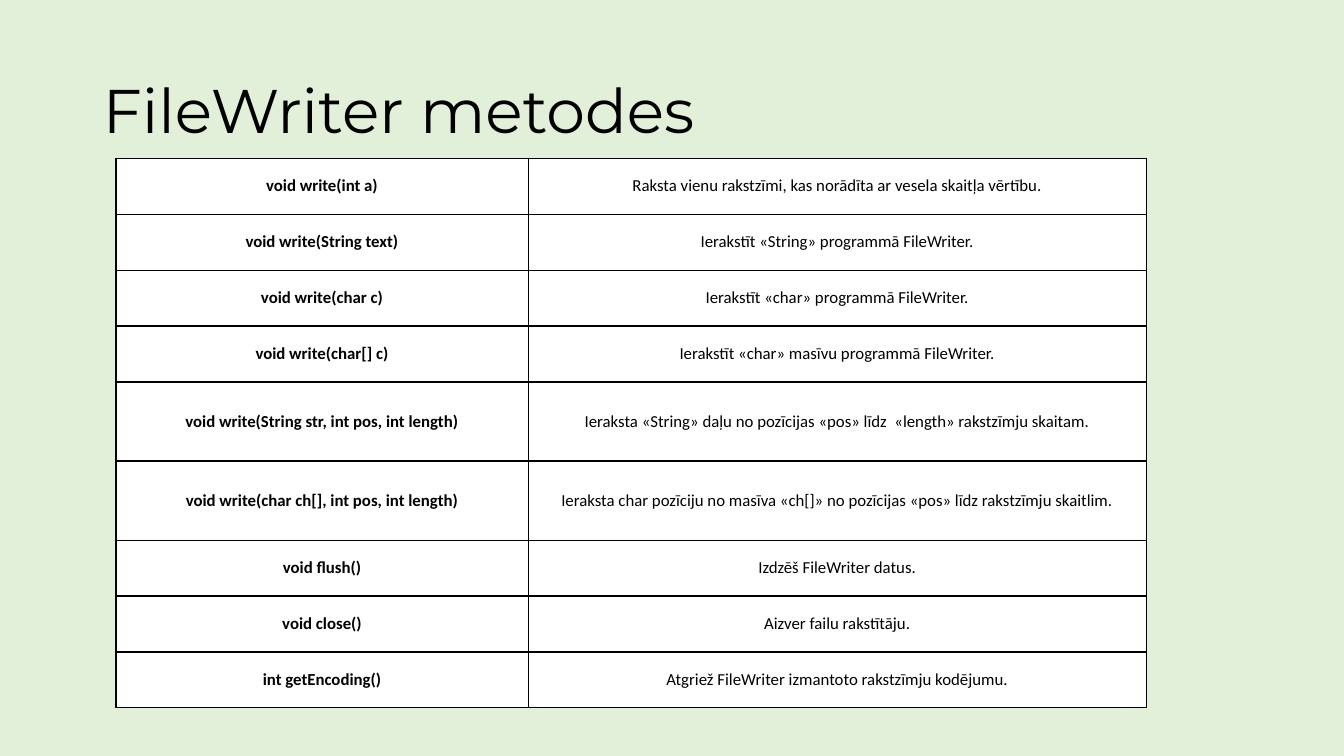
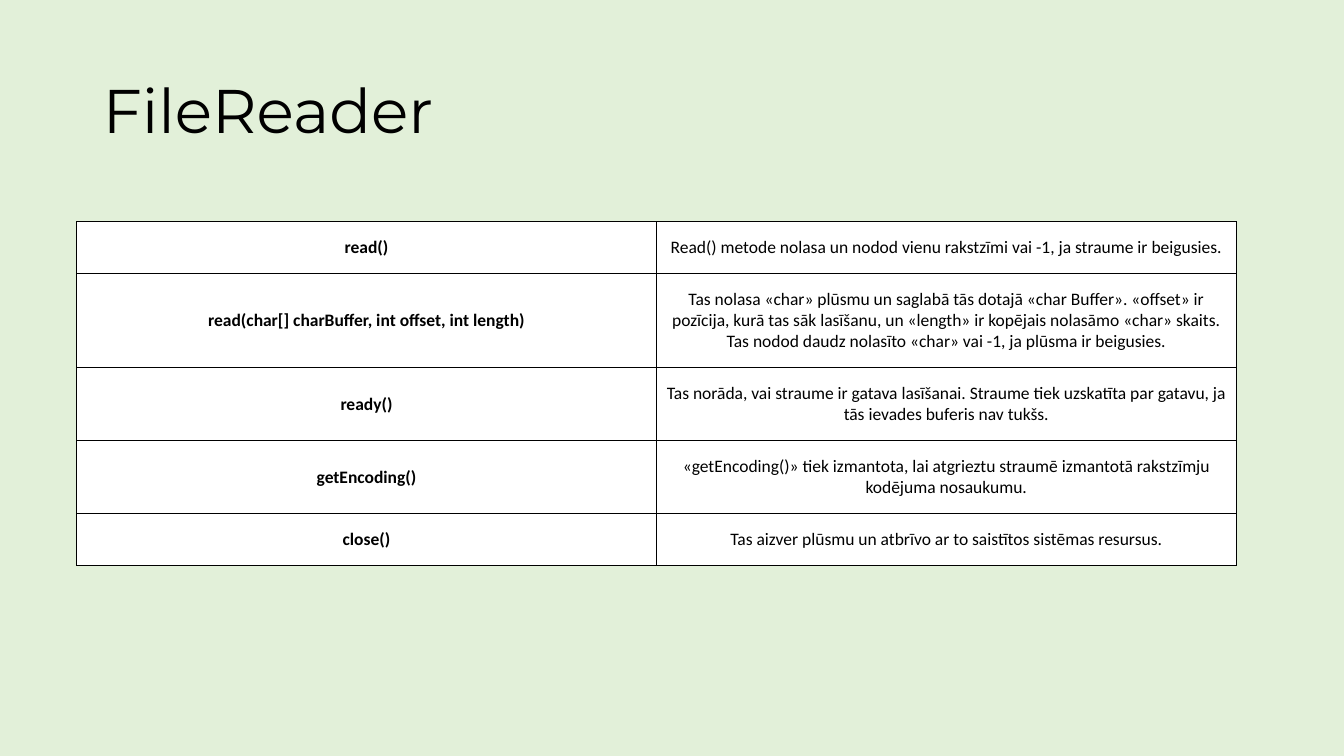
from dataclasses import dataclass

from lxml.etree import SubElement
from pptx import Presentation
from pptx.dml.color import RGBColor
from pptx.enum.text import MSO_ANCHOR as Anchor, MSO_AUTO_SIZE as AutoSize, PP_ALIGN as Align
from pptx.oxml.ns import qn
from pptx.util import Inches, Pt

# Shared look
SLIDE_WIDTH, SLIDE_HEIGHT = 13.33, 7.5
BLACK = RGBColor(0x00, 0x00, 0x00)
WHITE = RGBColor(0xFF, 0xFF, 0xFF)
PALE_GREEN = RGBColor(0xE2, 0xF0, 0xD9)
TITLE_FONT, BODY_FONT = "Montserrat", "Calibri"
TITLE_SIZE = 44
TITLE_BOX = (0.92, 0.4, 11.5, 1.45)
TITLE_ONLY = 5
SIDE_MARGIN = 0.1
BORDER_WIDTH = Pt(1)


@dataclass
class TableStyle:
    left: float
    top: float
    width: float
    column_shares: tuple
    row_heights: tuple
    font_size: float
    margin: float


# Row heights by kind of row: one line, or taller
SHORT, TALL = 0.555, 0.785
WRITER_STYLE = TableStyle(1.15, 1.57, 10.22, (0.4, 0.6),
                          (SHORT,) * 4 + (TALL,) * 2 + (SHORT,) * 3, 12, 0.14)
ONE_LINE, TWO_LINES, THREE_LINES = 0.5, 0.71, 0.92
READER_STYLE = TableStyle(0.76, 2.2, 11.5, (0.5, 0.5),
                          (ONE_LINE, THREE_LINES, TWO_LINES, TWO_LINES, ONE_LINE),
                          12.5, 0.15)

WRITER_METHODS = [
    ("void write(int a)", "Raksta vienu rakstzīmi, kas norādīta ar vesela skaitļa vērtību."),
    ("void write(String text)", "Ierakstīt «String» programmā FileWriter."),
    ("void write(char c)", "Ierakstīt «char» programmā FileWriter."),
    ("void write(char[] c)", "Ierakstīt «char» masīvu programmā FileWriter."),
    ("void write(String str, int pos, int length)",
     "Ieraksta «String» daļu no pozīcijas «pos» līdz  «length» rakstzīmju skaitam."),
    ("void write(char ch[], int pos, int length)",
     "Ieraksta char pozīciju no masīva «ch[]» no pozīcijas «pos» līdz rakstzīmju skaitlim."),
    ("void flush()", "Izdzēš FileWriter datus."),
    ("void close()", "Aizver failu rakstītāju."),
    ("int getEncoding()", "Atgriež FileWriter izmantoto rakstzīmju kodējumu."),
]
READER_METHODS = [
    ("read()", "Read() metode nolasa un nodod vienu rakstzīmi vai -1, ja straume ir beigusies."),
    ("read(char[] charBuffer, int offset, int length)",
     "Tas nolasa «char» plūsmu un saglabā tās dotajā «char Buffer». «offset» ir pozīcija, "
     "kurā tas sāk lasīšanu, un «length» ir kopējais nolasāmo «char» skaits. "
     "Tas nodod daudz nolasīto «char» vai -1, ja plūsma ir beigusies."),
    ("ready()",
     "Tas norāda, vai straume ir gatava lasīšanai. Straume tiek uzskatīta par gatavu, "
     "ja tās ievades buferis nav tukšs."),
    ("getEncoding()",
     "«getEncoding()» tiek izmantota, lai atgrieztu straumē izmantotā rakstzīmju "
     "kodējuma nosaukumu."),
    ("close()", "Tas aizver plūsmu un atbrīvo ar to saistītos sistēmas resursus."),
]


def add_run(paragraph, text, font_name, size, bold=False):
    run = paragraph.add_run()
    run.text = text
    run.font.name = font_name
    run.font.size = Pt(size)
    run.font.bold = bold
    run.font.color.rgb = BLACK


def add_titled_slide(presentation, title):
    slide = presentation.slides.add_slide(presentation.slide_layouts[TITLE_ONLY])
    shape = slide.shapes.title
    shape.left, shape.top, shape.width, shape.height = map(Inches, TITLE_BOX)
    frame = shape.text_frame
    frame.auto_size = AutoSize.NONE
    frame.vertical_anchor = Anchor.MIDDLE
    paragraph = frame.paragraphs[0]
    paragraph.alignment = Align.LEFT
    paragraph.line_spacing = 0.9
    add_run(paragraph, title, TITLE_FONT, TITLE_SIZE)
    return slide


def add_borders(cell):
    """Draw all four sides; the schema wants them before the fill."""
    properties = cell._tc.get_or_add_tcPr()
    for index, side in enumerate(("a:lnL", "a:lnR", "a:lnT", "a:lnB")):
        line = SubElement(properties, qn(side), w=str(BORDER_WIDTH))
        fill = SubElement(line, qn("a:solidFill"))
        SubElement(fill, qn("a:srgbClr"), val=str(BLACK))
        properties.insert(index, line)


def fill_cell(cell, text, style, bold):
    cell.fill.solid()
    cell.fill.fore_color.rgb = WHITE
    cell.vertical_anchor = Anchor.MIDDLE
    cell.margin_left = cell.margin_right = Inches(SIDE_MARGIN)
    cell.margin_top = cell.margin_bottom = Inches(style.margin)
    add_borders(cell)
    paragraph = cell.text_frame.paragraphs[0]
    paragraph.alignment = Align.CENTER
    add_run(paragraph, text, BODY_FONT, style.font_size, bold)


def add_method_table(slide, methods, style):
    frame = slide.shapes.add_table(
        len(methods), len(style.column_shares), Inches(style.left), Inches(style.top),
        Inches(style.width), Inches(sum(style.row_heights)))
    table = frame.table
    table.first_row = table.horz_banding = False
    for column, share in zip(table.columns, style.column_shares):
        column.width = Inches(style.width * share)
    for row, height, texts in zip(table.rows, style.row_heights, methods):
        row.height = Inches(height)
        for index, (cell, text) in enumerate(zip(row.cells, texts)):
            fill_cell(cell, text, style, bold=index == 0)


def main():
    presentation = Presentation()
    presentation.slide_width = Inches(SLIDE_WIDTH)
    presentation.slide_height = Inches(SLIDE_HEIGHT)

    # Background for every slide
    background = presentation.slide_master.background.fill
    background.solid()
    background.fore_color.rgb = PALE_GREEN

    # One slide per class
    for title, methods, style in (
        ("FileWriter metodes", WRITER_METHODS, WRITER_STYLE),
        ("FileReader", READER_METHODS, READER_STYLE),
    ):
        slide = add_titled_slide(presentation, title)
        add_method_table(slide, methods, style)

    presentation.save("out.pptx")


if __name__ == "__main__":
    main()
